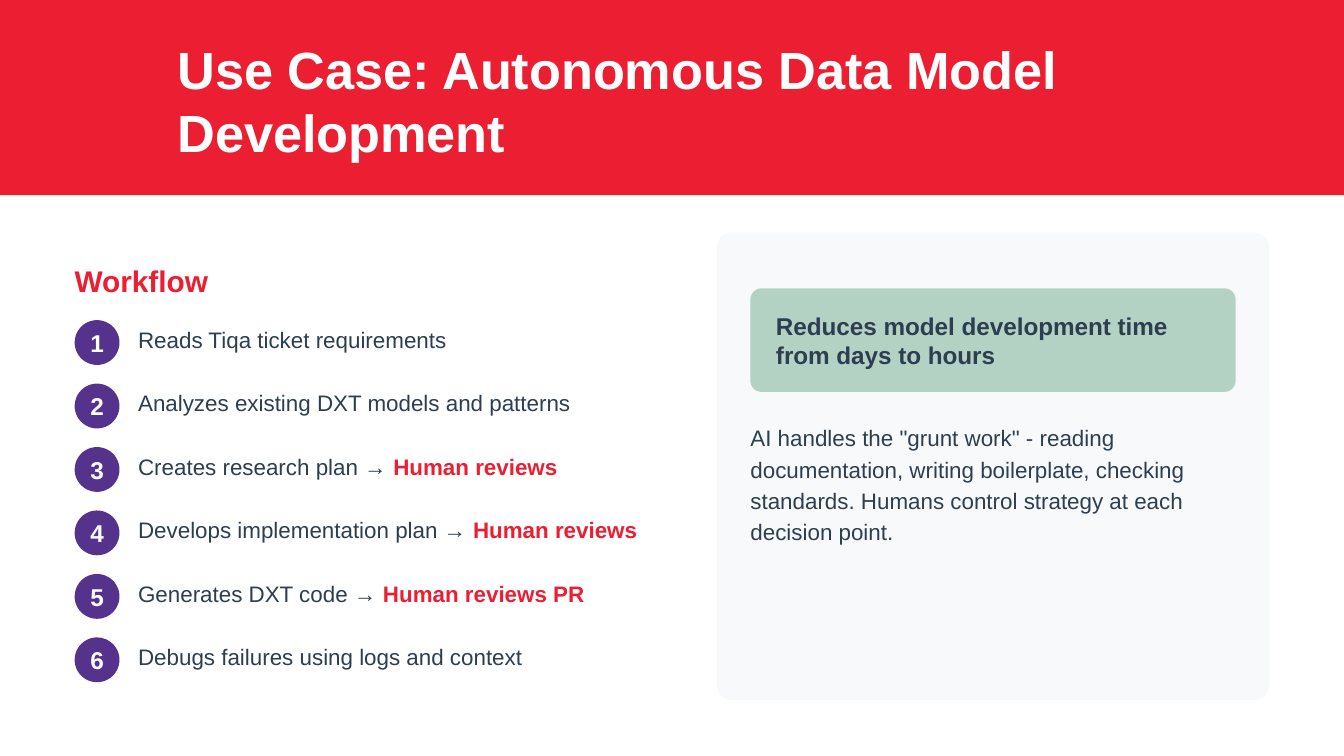
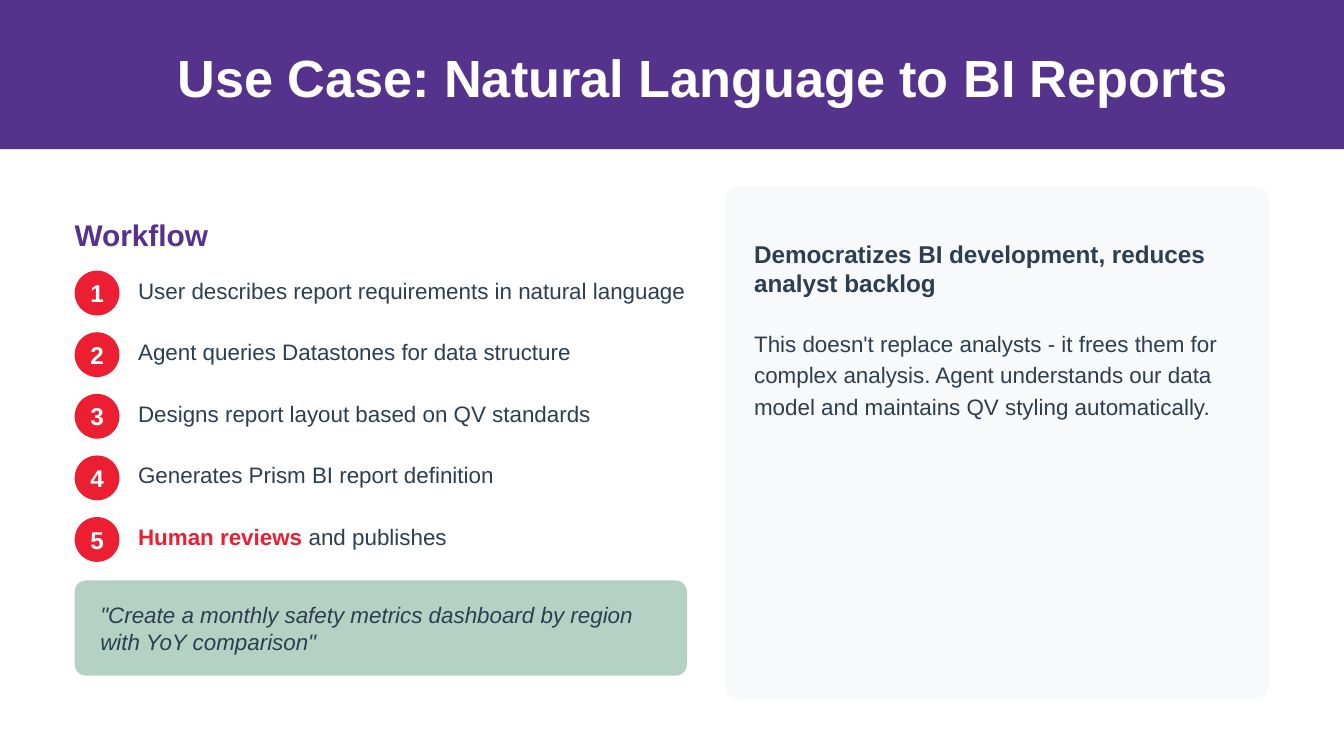
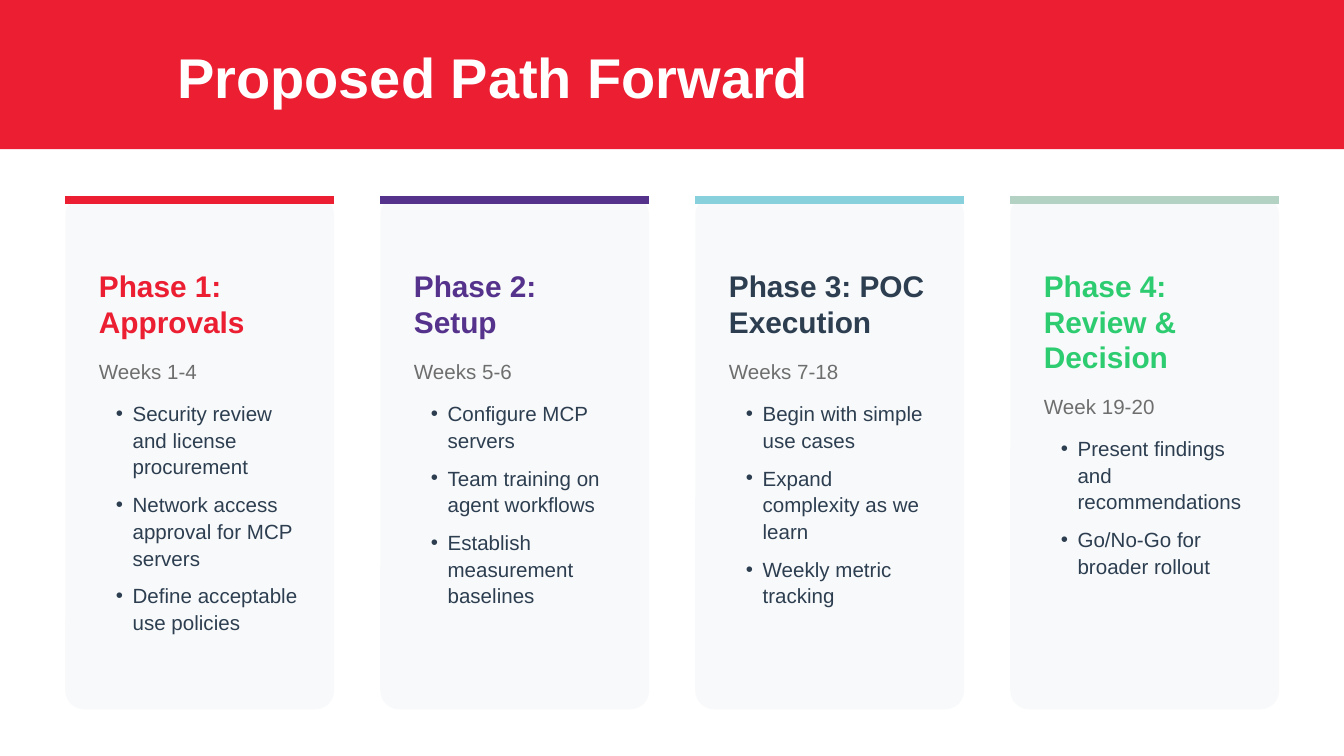
from dataclasses import dataclass

from lxml.etree import SubElement
from pptx import Presentation
from pptx.dml.color import RGBColor
from pptx.enum.shapes import MSO_CONNECTOR as Connector, MSO_SHAPE as Preset
from pptx.enum.text import MSO_ANCHOR as Anchor, MSO_AUTO_SIZE as AutoSize, PP_ALIGN as Align
from pptx.oxml.ns import qn
from pptx.util import Pt

FONT = "Arial"
RED, PURPLE, TEAL, SAGE, GREEN = "EB1E32", "55328C", "89D0DD", "B4D2C3", "2ECC71"
INK, GRAY, PALE, WHITE = "2C3E50", "6E6E6E", "F8F9FA", "FFFFFF"
PAGE_WIDTH, PAGE_HEIGHT = 720, 405
MARGIN = 40
TITLE_ONLY, COMPARISON = 5, 4


@dataclass(frozen=True)
class Box:
    left: float
    top: float
    width: float
    height: float

    def lengths(self):
        return Pt(self.left), Pt(self.top), Pt(self.width), Pt(self.height)


@dataclass(frozen=True)
class Workflow:
    heading_top: float
    first_top: float
    pitch: float
    heading_color: str
    badge_color: str
    steps: tuple[str, ...]


@dataclass(frozen=True)
class Phase:
    name: str
    weeks: str
    tasks: tuple[str, ...]
    bar_color: str
    name_color: str
    name_lines: int
    list_height: float


def rgb(color: str) -> RGBColor:
    return RGBColor.from_string(color)


def write(shape, text, *, size=12, color=INK, bold=False, italic=False, spacing=None,
          after=0, align=Align.LEFT, anchor=Anchor.TOP, insets=(0, 0, 0, 0), bullet=0):
    """Fill a shape with one paragraph per line; words between asterisks are red and bold."""
    frame = shape.text_frame
    frame.word_wrap = True
    frame.auto_size = AutoSize.NONE
    frame.vertical_anchor = anchor
    (frame.margin_left, frame.margin_top,
     frame.margin_right, frame.margin_bottom) = map(Pt, insets)
    for index, line in enumerate(text.split("\n")):
        para = frame.add_paragraph() if index else frame.paragraphs[0]
        para.alignment = align
        para.line_spacing = Pt(spacing or size * 1.2)
        para.space_before, para.space_after = Pt(0), Pt(after)
        if bullet:
            add_bullet(para, bullet)
        for part, words in enumerate(line.split("*")):
            if not words:
                continue
            accented = part % 2 == 1
            span = para.add_run()
            span.text = words
            font = span.font
            font.name, font.size, font.italic = FONT, Pt(size), italic
            font.bold = bold or accented
            font.color.rgb = rgb(RED if accented else color)


def add_bullet(para, indent: float):
    properties = para._p.get_or_add_pPr()
    properties.set("marL", str(Pt(indent)))
    properties.set("indent", str(-Pt(indent)))
    SubElement(properties, qn("a:buChar")).set("char", "•")


def add_text(page, box: Box, text: str, **style):
    write(page.shapes.add_textbox(*box.lengths()), text, **style)


def add_panel(page, box: Box, color: str, radius: float = 0):
    preset = Preset.ROUNDED_RECTANGLE if radius else Preset.RECTANGLE
    panel = page.shapes.add_shape(preset, *box.lengths())
    if radius:
        panel.adjustments[0] = radius / min(box.width, box.height)
    panel.shadow.inherit = False
    panel.fill.solid()
    panel.fill.fore_color.rgb = rgb(color)
    panel.line.fill.background()
    return panel


def add_bar(page, left: float, right: float, y: float, color: str):
    bar = page.shapes.add_connector(Connector.STRAIGHT, Pt(left), Pt(y), Pt(right), Pt(y))
    bar.line.color.rgb = rgb(color)
    bar.line.width = Pt(4.5)
    SubElement(bar.element.spPr, qn("a:effectLst"))


def place(placeholder, box: Box):
    """Move a placeholder to a box, in front of everything drawn so far."""
    (placeholder.left, placeholder.top,
     placeholder.width, placeholder.height) = box.lengths()
    placeholder.element.getparent().append(placeholder.element)


def add_page(deck, layout: int, title: str, title_box: Box, color: str, *,
             band_height: float = 80, size: float = 28):
    page = deck.slides.add_slide(deck.slide_layouts[layout])
    add_panel(page, Box(0, 0, PAGE_WIDTH, band_height), color)
    place(page.shapes.title, title_box)
    write(page.shapes.title, title, size=size, color=WHITE, bold=True)
    return page


def add_workflow(page, flow: Workflow):
    add_text(page, Box(MARGIN, flow.heading_top, 333, 19), "Workflow",
             size=16, color=flow.heading_color, bold=True)
    for index, step in enumerate(flow.steps):
        top = flow.first_top + index * flow.pitch
        badge = add_panel(page, Box(MARGIN, top, 24, 24), flow.badge_color, radius=12)
        write(badge, str(index + 1), size=13, color=WHITE, bold=True,
              align=Align.CENTER, anchor=Anchor.MIDDLE)
        add_text(page, Box(74, top, 302, 17.5), step, spacing=15.6, insets=(0, 2, 0, 0))


def add_callout(page, box: Box, text: str, **style):
    callout = add_panel(page, box, SAGE, radius=6)
    write(callout, text, anchor=Anchor.MIDDLE, insets=(12, 0, 12, 0), **style)


def add_phase(page, phase: Phase, left: float, body):
    width, top, text_left = 144, 105, left + 18
    add_panel(page, Box(left, top, width, 275), PALE, radius=10)
    add_bar(page, left, left + width, top + 2.25, phase.bar_color)
    name_height = phase.name_lines * 18.75
    add_text(page, Box(text_left, 143.25, 110, name_height), phase.name,
             size=16, color=phase.name_color, bold=True)
    weeks_top = 154.75 + name_height
    add_text(page, Box(text_left, weeks_top, 110, 12.5), phase.weeks, size=11, color=GRAY)
    place(body, Box(text_left, weeks_top + 21.5, 108, phase.list_height))
    write(body, "\n".join(phase.tasks), size=11, spacing=14.3, after=6,
          insets=(9, 0, 0, 0), bullet=9)


def build_data_model_page(deck):
    page = add_page(deck, TITLE_ONLY, "Use Case: Autonomous Data Model Development",
                    Box(95, 20, 597, 65), RED, band_height=104.5)
    add_workflow(page, Workflow(140.5, 171.5, 34, RED, PURPLE, (
        "Reads Tiqa ticket requirements",
        "Analyzes existing DXT models and patterns",
        "Creates research plan → *Human reviews*",
        "Develops implementation plan → *Human reviews*",
        "Generates DXT code → *Human reviews PR*",
        "Debugs failures using logs and context",
    )))
    add_panel(page, Box(384, 124.5, 296, 250.5), PALE, radius=8)
    add_callout(page, Box(402, 154.5, 260, 55.5),
                "Reduces model development time from days to hours", size=13, bold=True)
    add_text(page, Box(402, 225, 265, 67),
             'AI handles the "grunt work" - reading documentation, writing boilerplate, '
             "checking standards. Humans control strategy at each decision point.",
             spacing=16.8)


def build_reports_page(deck):
    page = add_page(deck, TITLE_ONLY, "Use Case: Natural Language to BI Reports",
                    Box(95, 24, 575, 32.5), PURPLE)
    add_workflow(page, Workflow(116, 145, 33, PURPLE, RED, (
        "User describes report requirements in natural language",
        "Agent queries Datastones for data structure",
        "Designs report layout based on QV standards",
        "Generates Prism BI report definition",
        "*Human reviews* and publishes",
    )))
    add_callout(page, Box(MARGIN, 311, 328, 51),
                '"Create a monthly safety metrics dashboard by region with YoY comparison"',
                italic=True)
    add_panel(page, Box(388, 100, 292, 275), PALE, radius=8)
    add_text(page, Box(404, 128, 265, 32),
             "Democratizes BI development, reduces analyst backlog", size=13, bold=True)
    add_text(page, Box(404, 174.5, 265, 50.5),
             "This doesn't replace analysts - it frees them for complex analysis. "
             "Agent understands our data model and maintains QV styling automatically.",
             spacing=16.8)


PHASES = (
    Phase("Phase 1: Approvals", "Weeks 1-4",
          ("Security review and license procurement",
           "Network access approval for MCP servers",
           "Define acceptable use policies"), RED, RED, 2, 127),
    Phase("Phase 2: Setup", "Weeks 5-6",
          ("Configure MCP servers",
           "Team training on agent workflows",
           "Establish measurement baselines"), PURPLE, PURPLE, 2, 112),
    Phase("Phase 3: POC Execution", "Weeks 7-18",
          ("Begin with simple use cases",
           "Expand complexity as we learn",
           "Weekly metric tracking"), TEAL, INK, 2, 112),
    Phase("Phase 4: Review & Decision", "Week 19-20",
          ("Present findings and recommendations",
           "Go/No-Go for broader rollout"), SAGE, GREEN, 3, 78),
)


def build_path_page(deck):
    page = add_page(deck, COMPARISON, "Proposed Path Forward",
                    Box(95, 23, 345, 34), RED, size=30)
    for index, phase in enumerate(PHASES):
        add_phase(page, phase, 35 + index * 168.75, page.placeholders[index + 1])


def main():
    deck = Presentation()
    deck.slide_width, deck.slide_height = Pt(PAGE_WIDTH), Pt(PAGE_HEIGHT)
    build_data_model_page(deck)
    build_reports_page(deck)
    build_path_page(deck)
    deck.save("out.pptx")


if __name__ == "__main__":
    main()
